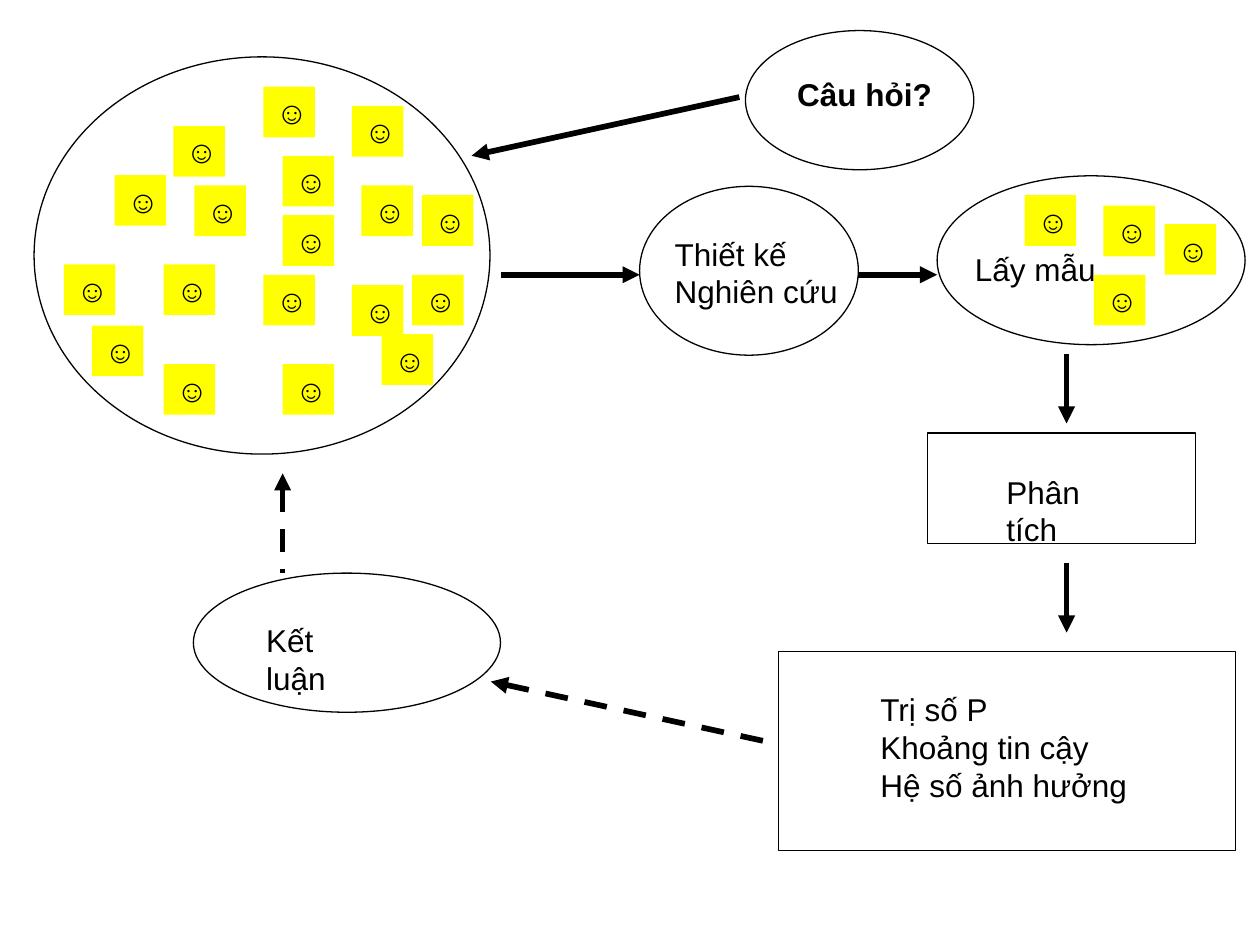
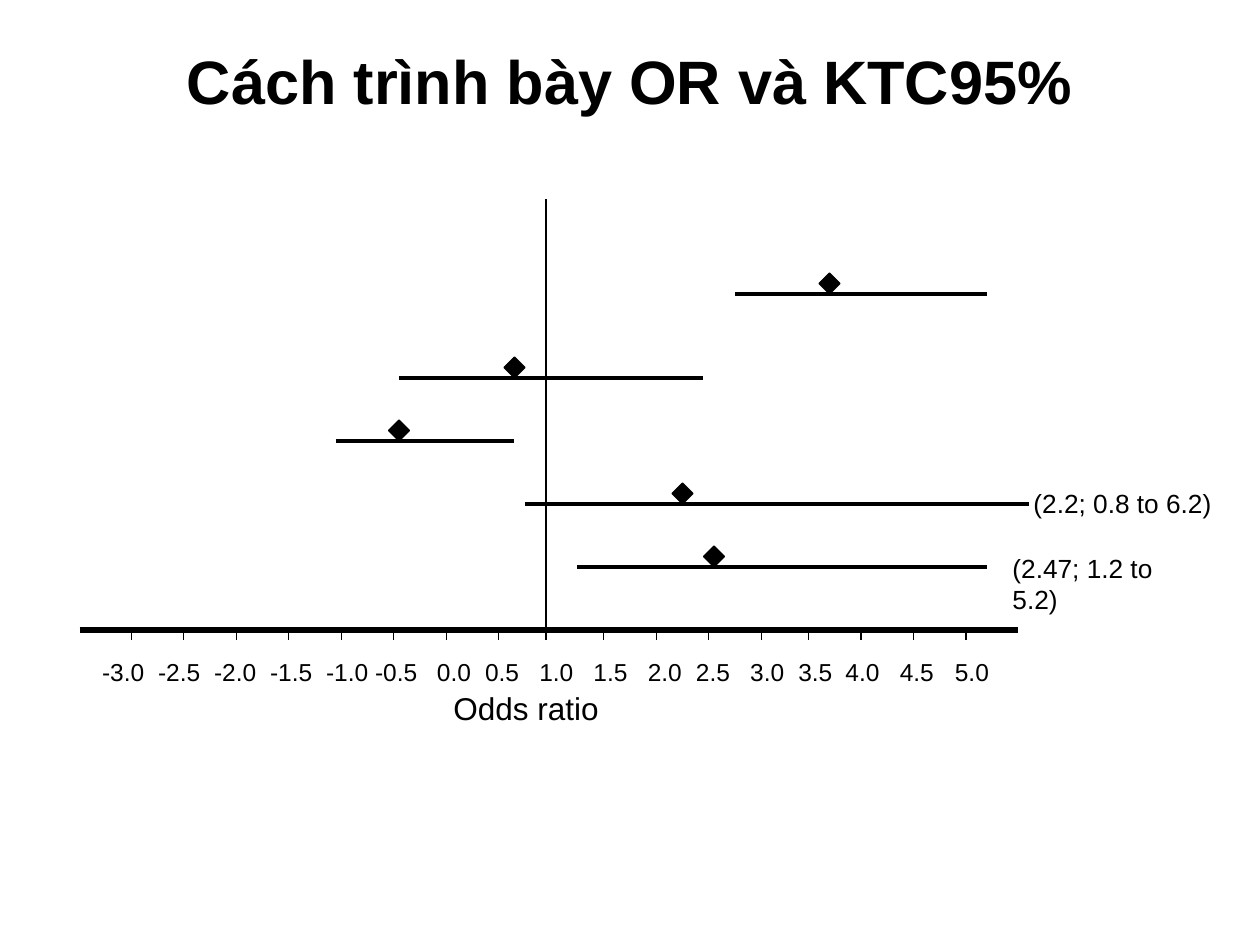
from lxml import etree
from pptx import Presentation
from pptx.dml.color import RGBColor
from pptx.enum.dml import MSO_LINE
from pptx.enum.shapes import MSO_CONNECTOR, MSO_SHAPE
from pptx.enum.text import MSO_ANCHOR, PP_ALIGN
from pptx.oxml.ns import qn
from pptx.util import Pt

OVAL, BOX, DIAMOND = MSO_SHAPE.OVAL, MSO_SHAPE.RECTANGLE, MSO_SHAPE.DIAMOND
STRAIGHT, DASH = MSO_CONNECTOR.STRAIGHT, MSO_LINE.DASH
LEFT, CENTER = PP_ALIGN.LEFT, PP_ALIGN.CENTER
TOP, MIDDLE = MSO_ANCHOR.TOP, MSO_ANCHOR.MIDDLE

COLORS = {"ink": "000000", "person": "FFFF00"}
FONT = "Arial"
THIN, ARROW = 0.75, 3.25
PERSON_SIZE = (29.5, 29)

POPULATION = (19.5, 32.5, 260.5, 227)
POPULATION_PEOPLE = [
    (99, 72), (65.5, 100), (111, 106), (36.5, 151), (93.5, 151), (161.5, 89),
    (201, 163), (218, 191), (150.5, 49.5), (235.5, 157), (206.5, 106), (201, 60.5),
    (161.5, 123), (161.5, 208), (93.5, 208), (241, 111.5), (52.5, 186), (150.5, 157),
]
SAMPLE_PEOPLE = [(665.5, 128), (625, 157), (630.5, 117.5), (585.5, 111.5)]

STEPS = [
    (OVAL, (365.5, 106.5, 125, 96.5), "Thiết kế\nNghiên cứu", (378.5, 130.5, 107.5, 50.5), {}),
    (OVAL, (535.5, 100.5, 176, 96.5), "Lấy mẫu", (550, 139.5, 83.5, 29), {}),
    (BOX, (530, 247.5, 153, 63), "Phân tích", (568, 266.5, 90, 29), {}),
    (BOX, (445, 372.5, 261, 113.5), "Trị số P\nKhoảng tin cậy\nHệ số ảnh hưởng",
     (496, 391, 168.5, 72), {"wrap": True}),
    (OVAL, (110.5, 327.5, 175.5, 79.5), "Kết luận", (145, 351.5, 80, 29), {}),
    (OVAL, (426, 17.5, 130.5, 79.5), "Câu hỏi?", (448.5, 39.5, 91.5, 29), {"bold": True}),
]
FLOWS = [
    ((269.5, 89), (422.5, 55.5), None),
    ((365.5, 157), (286.5, 157), None),
    ((535.5, 157), (490.5, 157), None),
    ((609.5, 242), (609.5, 202.5), None),
    ((609.5, 361.5), (609.5, 322), None),
    ((280.5, 389.5), (439, 424), DASH),
    ((161.5, 270.5), (161.5, 327.5), DASH),
]

AXIS_Y, AXIS_START, AXIS_END = 360, 45.5, 582
TICK_FIRST, TICK_GAP, TICK_LENGTH = 75, 30, 6
TICK_VALUES = [-3 + step / 2 for step in range(17)]
NUDGED_LEFT = {1.0, 3.5, 4.0, 4.5, 5.0}
NO_EFFECT = 1.0
NO_EFFECT_TOP = 114
SCALE_BOX = (24, 372, 558, 24.5)
SCALE_CENTRES = [70.5, 102.5, 134.5, 166.5, 198.5, 226.5, 259.5, 287, 318,
                 349, 380, 407.5, 438.5, 466, 493, 524, 555.5]
DIAMOND_SIZE = 12
ESTIMATES = [
    (324, 330, 564, 408, "(2.47; 1.2 to 5.2)", (571.5, 312, 124, 25)),
    (288, 300, 588, 390, "(2.2; 0.8 to 6.2)", (583.5, 275, 116, 25)),
    (252, 192, 294, 228, None, None),
    (216, 228, 402, 294, None, None),
    (168, 420, 564, 474, None, None),
]


def ink(name):
    return RGBColor.from_string(COLORS[name])


def write(shape, text, size=18, bold=False, align=LEFT, anchor=TOP, wrap=False):
    frame = shape.text_frame
    frame.word_wrap = wrap
    frame.vertical_anchor = anchor
    for number, line in enumerate(text.split("\n")):
        paragraph = frame.paragraphs[0] if number == 0 else frame.add_paragraph()
        paragraph.alignment = align
        run = paragraph.add_run()
        run.text = line
        run.font.name, run.font.size, run.font.bold = FONT, Pt(size), bold
        run.font.color.rgb = ink("ink")
    return frame


def label(slide, place, text, **style):
    return write(slide.shapes.add_textbox(*map(Pt, place)), text, **style)


def draw(slide, kind, place, fill=None, outlined=True):
    shape = slide.shapes.add_shape(kind, *map(Pt, place))
    shape.shadow.inherit = False
    if fill:
        shape.fill.solid()
        shape.fill.fore_color.rgb = ink(fill)
    else:
        shape.fill.background()
    if outlined:
        shape.line.color.rgb = ink("ink")
        shape.line.width = Pt(THIN)
    else:
        shape.line.fill.background()
    return shape


def rule(slide, start, end, width=THIN, dash=None, arrow=False):
    line = slide.shapes.add_connector(STRAIGHT, *map(Pt, (*start, *end)))
    line.line.color.rgb = ink("ink")
    line.line.width = Pt(width)
    if dash:
        line.line.dash_style = dash
    properties = line._element.spPr
    if arrow:
        etree.SubElement(properties.find(qn("a:ln")), qn("a:headEnd"), type="triangle")
    etree.SubElement(properties, qn("a:effectLst"))


def people(slide, corners):
    for corner in corners:
        person = draw(slide, BOX, (*corner, *PERSON_SIZE), fill="person", outlined=False)
        write(person, "☺", anchor=MIDDLE)


def add_title(slide, text):
    label(slide, (36, 12.5, 648, 66), text, size=35, bold=True,
          align=CENTER, anchor=MIDDLE, wrap=True)


def build_research_cycle(slide):
    draw(slide, OVAL, POPULATION)
    people(slide, POPULATION_PEOPLE)
    for kind, place, text, text_place, style in STEPS:
        draw(slide, kind, place)
        label(slide, text_place, text, **style)
    people(slide, SAMPLE_PEOPLE)
    for tip, origin, dash in FLOWS:
        rule(slide, tip, origin, ARROW, dash, arrow=True)


def add_scale(slide):
    text = "".join(f"\t{value:.1f}" for value in TICK_VALUES)
    frame = label(slide, SCALE_BOX, text, size=14, wrap=True)
    stops = etree.SubElement(frame.paragraphs[0]._p.get_or_add_pPr(), qn("a:tabLst"))
    text_left = Pt(SCALE_BOX[0]) + frame.margin_left
    for centre in SCALE_CENTRES:
        etree.SubElement(stops, qn("a:tab"), pos=str(Pt(centre) - text_left), algn="ctr")


def build_odds_ratios(slide):
    add_title(slide, "Cách trình bày OR và KTC95%")
    rule(slide, (AXIS_START, AXIS_Y), (AXIS_END, AXIS_Y), 3)
    for step, value in enumerate(TICK_VALUES):
        x = TICK_FIRST + step * TICK_GAP - (3 if value in NUDGED_LEFT else 0)
        rule(slide, (x, AXIS_Y), (x, AXIS_Y + TICK_LENGTH))
        if value == NO_EFFECT:
            rule(slide, (x, AXIS_Y), (x, NO_EFFECT_TOP))
    add_scale(slide)
    label(slide, (252, 390, 192, 29), "Odds ratio", wrap=True)
    for y, low, high, centre, text, text_place in ESTIMATES:
        rule(slide, (low, y), (high, y), 2)
        draw(slide, DIAMOND, (centre - DIAMOND_SIZE / 2, y - DIAMOND_SIZE,
                              DIAMOND_SIZE, DIAMOND_SIZE), fill="ink")
        if text:
            label(slide, text_place, text, size=15)


def main():
    deck = Presentation()
    deck.slide_width, deck.slide_height = Pt(720), Pt(540)
    blank = deck.slide_layouts[6]
    for build in (build_research_cycle, build_odds_ratios):
        build(deck.slides.add_slide(blank))
    deck.save("out.pptx")


if __name__ == "__main__":
    main()
